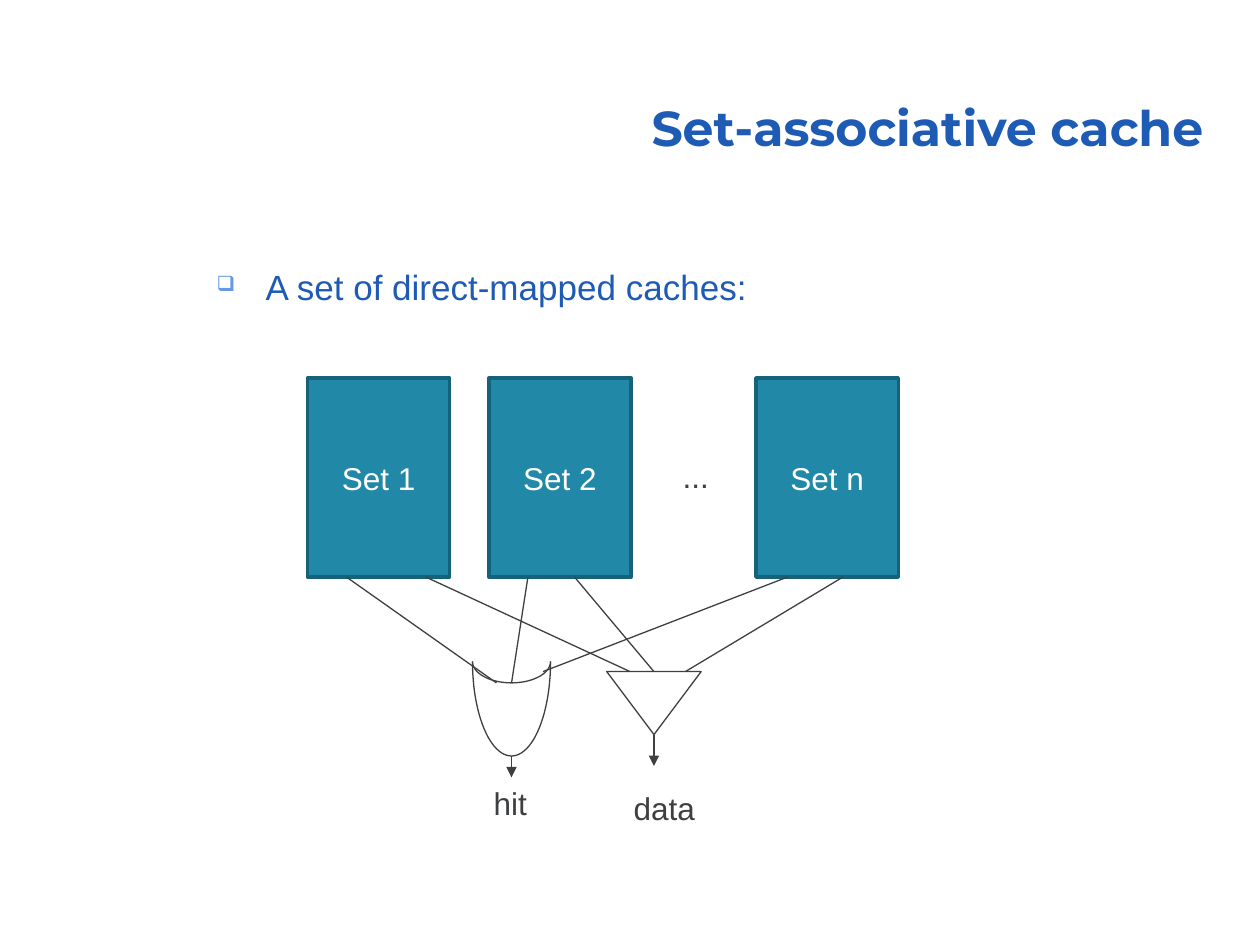
from math import cos, pi, sin

from lxml import etree
from pptx import Presentation
from pptx.dml.color import RGBColor
from pptx.enum.shapes import MSO_CONNECTOR, MSO_SHAPE
from pptx.enum.text import MSO_ANCHOR, MSO_AUTO_SIZE, PP_ALIGN
from pptx.oxml.ns import qn
from pptx.util import Inches, Pt

STRAIGHT = MSO_CONNECTOR.STRAIGHT
RECTANGLE = MSO_SHAPE.RECTANGLE
TRIANGLE = MSO_SHAPE.ISOSCELES_TRIANGLE
TOP, MIDDLE, BOTTOM = MSO_ANCHOR.TOP, MSO_ANCHOR.MIDDLE, MSO_ANCHOR.BOTTOM
LEFT, CENTER, RIGHT = PP_ALIGN.LEFT, PP_ALIGN.CENTER, PP_ALIGN.RIGHT
JUSTIFY = PP_ALIGN.JUSTIFY
NO_AUTOFIT = MSO_AUTO_SIZE.NONE

BLUE, INK, WHITE = "1E5BB4", "3D3F41", "FFFFFF"
TEAL, DARK_TEAL, BULLET_BLUE = "2288A7", "16627A", "6599E5"

SET_TOP, SET_HEIGHT = 3, 1.58
SET_BOTTOM = SET_TOP + SET_HEIGHT
GATE_X, GATE_TOP, GATE_RADIUS = 4.06, 5.25, 0.31
GATE_BACK, GATE_DEPTH = 0.17, 0.75
GATE_BOTTOM = GATE_TOP + GATE_DEPTH
MUX_X, MUX_TOP, MUX_WIDTH, MUX_HEIGHT = 5.19, 5.33, 0.75, 0.5
MUX_BOTTOM = MUX_TOP + MUX_HEIGHT


def color(value):
    return RGBColor.from_string(value)


def write(shape, text, size=18, font="Arial", ink=INK, bold=False,
          align=LEFT, anchor=TOP, wrap=False, spacing=None):
    frame = shape.text_frame
    frame.auto_size = NO_AUTOFIT
    frame.word_wrap = wrap
    frame.vertical_anchor = anchor
    para = frame.paragraphs[0]
    para.alignment = align
    para.line_spacing = spacing
    span = para.add_run()
    span.text = text
    span.font.size = Pt(size)
    span.font.name = font
    span.font.bold = bold
    span.font.color.rgb = color(ink)
    return para


def style_outline(shape, ink=INK, width=0.75):
    shape.line.color.rgb = color(ink)
    shape.line.width = Pt(width)


def add_label(page, text, left, top, width, height=0.4, **text_format):
    box = page.shapes.add_textbox(Inches(left), Inches(top),
                                  Inches(width), Inches(height))
    return write(box, text, **text_format)


def add_bullet(para, symbol, ink, percent, indent):
    properties = para._p.get_or_add_pPr()
    properties.set("marL", str(Inches(indent)))
    properties.set("indent", str(-Inches(indent)))
    bullet_color = etree.SubElement(properties, qn("a:buClr"))
    etree.SubElement(bullet_color, qn("a:srgbClr"), val=ink)
    etree.SubElement(properties, qn("a:buSzPct"), val=str(percent * 1000))
    etree.SubElement(properties, qn("a:buChar"), char=symbol)


def add_block(page, kind, left, top, width, height, fill, ink, line_width):
    block = page.shapes.add_shape(kind, Inches(left), Inches(top),
                                  Inches(width), Inches(height))
    block.shadow.inherit = False
    block.fill.solid()
    block.fill.fore_color.rgb = color(fill)
    style_outline(block, ink, line_width)
    return block


def add_line(page, start, end, arrow=False):
    line = page.shapes.add_connector(
        STRAIGHT, *(Inches(value) for value in (*start, *end)))
    style_outline(line)
    if arrow:
        etree.SubElement(line.line._get_or_add_ln(), qn("a:tailEnd"),
                         type="triangle")
    etree.SubElement(line._element.spPr, qn("a:effectLst"))


def add_quarter_arc(page, center, radius_x, radius_y, steps=24):
    angles = [pi / 2 * step / steps for step in range(steps + 1)]
    points = [(Inches(center[0] + radius_x * cos(angle)),
               Inches(center[1] + radius_y * sin(angle))) for angle in angles]
    builder = page.shapes.build_freeform(*points[0])
    builder.add_line_segments(points[1:], close=False)
    arc = builder.convert_to_shape()
    arc.shadow.inherit = False
    arc.fill.background()
    style_outline(arc)


def add_or_gate(page):
    for depth in (GATE_DEPTH, GATE_BACK):
        for radius in (GATE_RADIUS, -GATE_RADIUS):
            add_quarter_arc(page, (GATE_X, GATE_TOP), radius, depth)


def add_title(page, text):
    title = page.shapes.title
    title.left, title.top = Inches(2.94), Inches(0.53)
    title.width, title.height = Inches(6.71), Inches(0.77)
    write(title, text, size=28, font="Montserrat", ink=BLUE, bold=True,
          align=RIGHT, anchor=BOTTOM, wrap=True, spacing=0.9)


def main():
    deck = Presentation()
    deck.slide_width, deck.slide_height = Inches(10), Inches(7.5)
    page = deck.slides.add_slide(deck.slide_layouts[5])

    add_title(page, "Set-associative cache")
    para = add_label(page, "A set of direct-mapped caches:", 1.62, 2.06, 6.71,
                     0.69, size=20, ink=BLUE, align=JUSTIFY, wrap=True)
    add_bullet(para, "❑", BULLET_BLUE, 60, 0.39)

    for name, left in (("Set 1", 2.44), ("Set 2", 3.88), ("Set n", 6)):
        block = add_block(page, RECTANGLE, left, SET_TOP, 1.13, SET_HEIGHT,
                          TEAL, DARK_TEAL, 2)
        write(block, name, ink=WHITE, align=CENTER, anchor=MIDDLE)
    add_label(page, "...", 5.32, 3.58, 0.41)

    mux = add_block(page, TRIANGLE, MUX_X - MUX_WIDTH / 2, MUX_TOP,
                    MUX_WIDTH, MUX_HEIGHT, WHITE, INK, 0.75)
    mux.rotation = 180
    add_or_gate(page)

    gate_back = GATE_TOP + GATE_BACK
    wires = (
        (2.75, 3.94, gate_back), (4.19, GATE_X, gate_back),
        (6.25, 4.31, MUX_TOP), (3.38, 5, MUX_TOP),
        (4.56, MUX_X, MUX_TOP), (6.69, 5.44, MUX_TOP),
    )
    for start_x, end_x, end_y in wires:
        add_line(page, (start_x, SET_BOTTOM), (end_x, end_y))

    add_line(page, (GATE_X, GATE_BOTTOM), (GATE_X, 6.17), arrow=True)
    add_label(page, "hit", 3.82, 6.17, 0.46)
    add_line(page, (MUX_X, MUX_BOTTOM), (MUX_X, 6.08), arrow=True)
    add_label(page, "data", 4.93, 6.21, 0.68)

    deck.save("out.pptx")


if __name__ == "__main__":
    main()
